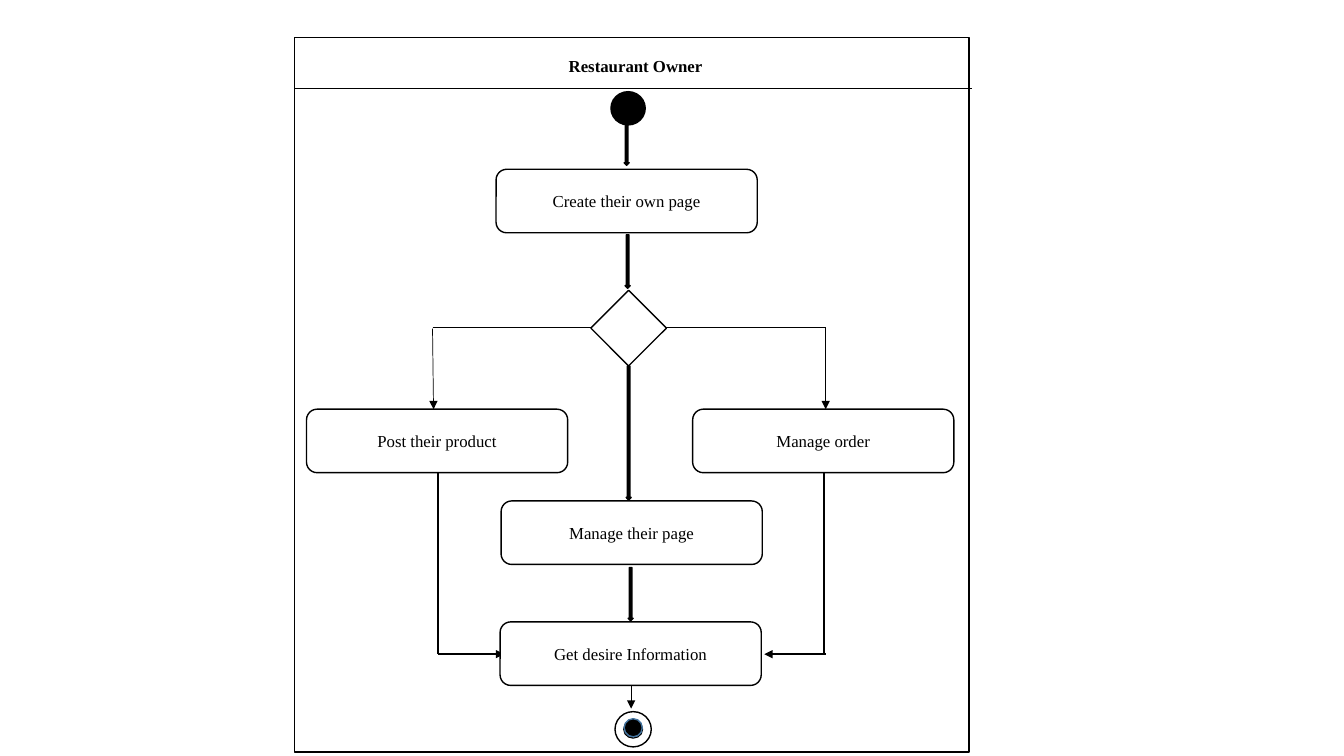
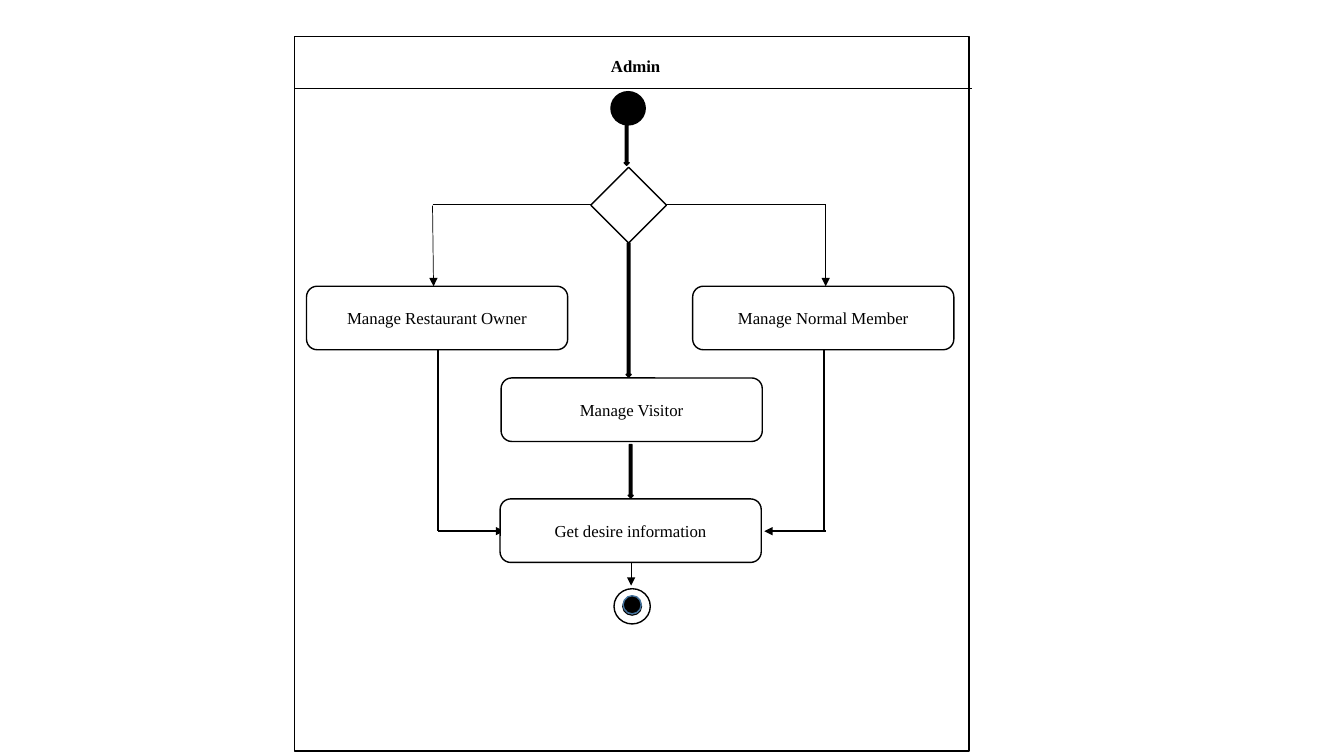
from pptx import Presentation
from pptx.dml.color import RGBColor
from pptx.enum.shapes import MSO_CONNECTOR, MSO_SHAPE as Shp
from pptx.enum.text import MSO_ANCHOR, PP_ALIGN
from pptx.oxml.ns import qn
from pptx.util import Emu, Pt
from lxml import etree

PX = 9144  # 100 px to the inch
COLORS = {"ink": "000000", "paper": "FFFFFF", "ring": "43739E"}
FONT, SIZE = "Times New Roman", 12
BOX_W, BOX_H = 259, 63
ARROW_W = 5

# Content: dy moves the branching part of the flow; first is an optional step before it
LANES = [
    {"title": "Restaurant Owner", "top": 37, "dy": 0, "end_x": 610,
     "first": "Create their own page", "left": "Post their product",
     "right": "Manage order", "middle": "Manage their page",
     "last": "Get desire Information"},
    {"title": "Admin", "top": 36, "dy": -122, "end_x": 609,
     "first": None, "left": "Manage Restaurant Owner",
     "right": "Manage Normal Member", "middle": "Manage Visitor",
     "last": "Get desire information"},
]

# Branching part: places before dy is added
BOXES = {"left": (304, 406), "right": (687, 406),
         "middle": (497, 497), "last": (496, 617)}
BLOCK_ARROWS = [(621, 363, 133), (623, 563, 53)]  # left, top, height
LINES = [  # x1, y1, x2, y2, weight, arrowhead
    (429, 326, 430, 406, 0.5, True),
    (429, 325, 586, 325, 0.5, False),
    (819, 325, 819, 406, 0.5, True),
    (819, 325, 660, 325, 0.5, False),
    (434, 649, 500, 649, 1.5, True),
    (434, 469, 434, 649, 1.5, False),
    (819, 649, 758, 649, 1.5, True),
    (817, 469, 817, 649, 1.5, False),
    (626, 680, 626, 703, 0.5, True),
]


def px(*values):
    return [Emu(round(v * PX)) for v in values]


def rgb(name):
    return RGBColor.from_string(COLORS[name])


def add_text(sp, text, bold=False, spacing=None):
    tf = sp.text_frame
    tf.word_wrap = True
    tf.vertical_anchor = MSO_ANCHOR.MIDDLE
    p = tf.paragraphs[0]
    p.alignment = PP_ALIGN.CENTER
    p.line_spacing = spacing
    r = p.add_run()
    r.text = text
    r.font.name, r.font.size, r.font.bold = FONT, Pt(SIZE), bold
    r.font.color.rgb = rgb("ink")


def add_shape(s, kind, x, y, w, h, fill="paper", line="ink", text=None):
    sp = s.shapes.add_shape(kind, *px(x, y, w, h))
    sp.shadow.inherit = False
    sp.fill.solid()
    sp.fill.fore_color.rgb = rgb(fill)
    sp.line.color.rgb = rgb(line)
    sp.line.width = Pt(1)
    if text:
        add_text(sp, text)


def add_box(s, x, y, text):
    add_shape(s, Shp.ROUNDED_RECTANGLE, x, y, BOX_W, BOX_H, text=text)


def add_block_arrow(s, x, y, h):
    add_shape(s, Shp.DOWN_ARROW, x, y, ARROW_W, h, fill="ink")


def add_line(s, x1, y1, x2, y2, weight, head=False):
    cx = s.shapes.add_connector(MSO_CONNECTOR.STRAIGHT, *px(x1, y1, x2, y2))
    cx.line.color.rgb = rgb("ink")
    cx.line.width = Pt(weight)
    if head:
        etree.SubElement(cx.line._get_or_add_ln(), qn("a:tailEnd"), type="triangle")
    etree.SubElement(cx._element.spPr, qn("a:effectLst"))


def add_lane(s, lane):
    # Frame and heading
    add_shape(s, Shp.RECTANGLE, 292, lane["top"], 669, 709)
    heading = s.shapes.add_textbox(*px(447, 44, 367, 45))
    add_text(heading, lane["title"], bold=True, spacing=0.9)
    add_line(s, 292, 88, 964, 88, 0.5)

    # Start node
    add_block_arrow(s, 619, 122, 42)
    add_shape(s, Shp.OVAL, 606, 91, 34, 33, fill="ink")

    # Optional first step
    if lane["first"]:
        add_box(s, 492, 168, lane["first"])
        add_block_arrow(s, 620, 233, 53)

    # Decision, branches and steps
    dy = lane["dy"]
    for x, y, h in BLOCK_ARROWS:
        add_block_arrow(s, x, y + dy, h)
    add_shape(s, Shp.DIAMOND, 586, 288 + dy, 75, 75)
    for x1, y1, x2, y2, weight, head in LINES:
        add_line(s, x1, y1 + dy, x2, y2 + dy, weight, head)
    for key, (x, y) in BOXES.items():
        add_box(s, x, y + dy, lane[key])

    # End node
    add_shape(s, Shp.DONUT, lane["end_x"], 706 + dy, 36, 35)
    add_shape(s, Shp.OVAL, lane["end_x"] + 9, 713 + dy, 18, 18,
              fill="ink", line="ring")


def main():
    prs = Presentation()
    prs.slide_width, prs.slide_height = px(1333, 750)
    for lane in LANES:
        add_lane(prs.slides.add_slide(prs.slide_layouts[6]), lane)
    prs.save("out.pptx")


if __name__ == "__main__":
    main()
